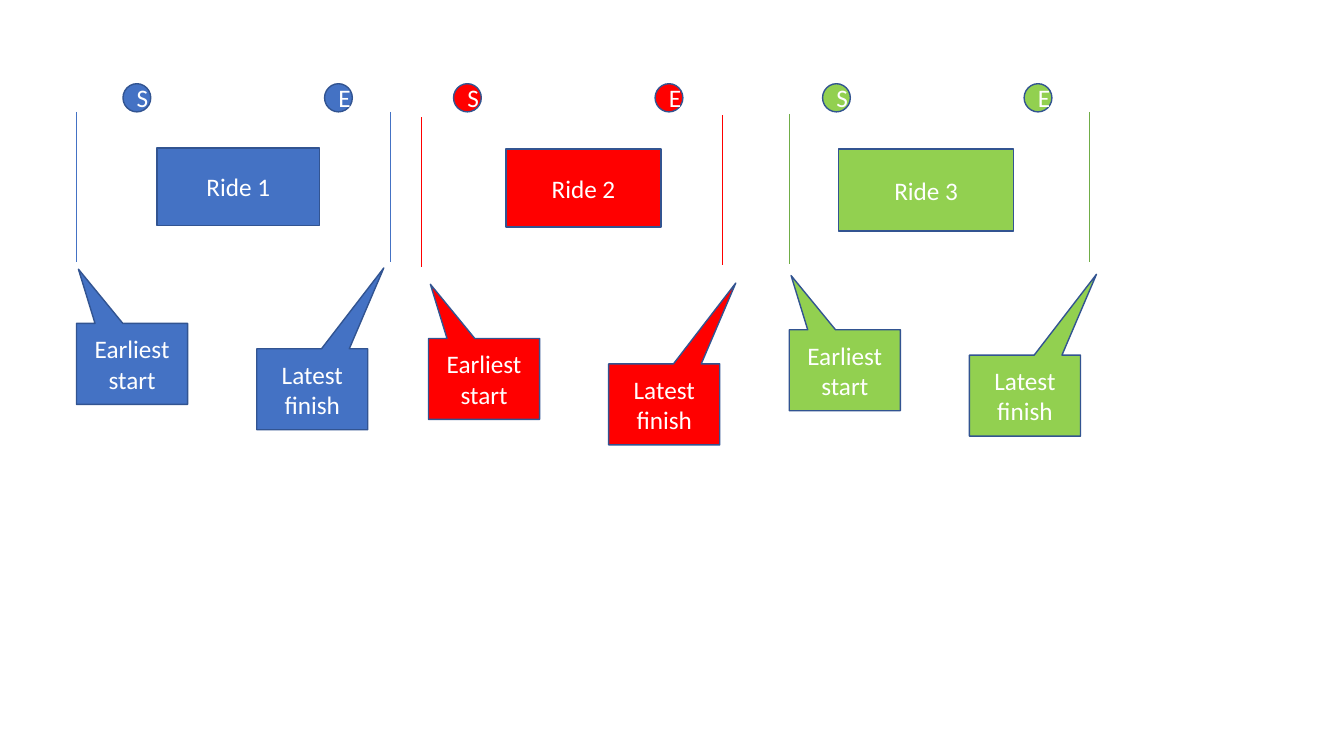
from lxml import etree
from pptx import Presentation
from pptx.dml.color import RGBColor
from pptx.enum.shapes import MSO_CONNECTOR, MSO_SHAPE
from pptx.enum.text import MSO_ANCHOR, PP_ALIGN
from pptx.oxml.ns import qn
from pptx.util import Cm, Pt

RECT, CIRCLE = MSO_SHAPE.RECTANGLE, MSO_SHAPE.OVAL
CALLOUT = MSO_SHAPE.RECTANGULAR_CALLOUT
STRAIGHT = MSO_CONNECTOR.STRAIGHT
MIDDLE, CENTER = MSO_ANCHOR.MIDDLE, PP_ALIGN.CENTER

COLORS = {
    "blue": "4472C4",
    "red": "FF0000",
    "lime": "92D050",
    "green": "70AD47",
    "outline": "325491",
    "text": "FFFFFF",
}

# Content, lengths in cm: box is left, top, width, height;
# limits are the tops of the two time-window lines
RIDES = [
    {"name": "Ride 1", "fill": "blue", "box": (3.96, 3.73, 4.09, 1.96),
     "limits": [(1.93, 2.82), (9.83, 2.82)], "limit_style": ("blue", 0.5),
     "marker_left": 3.1, "callout": (1.93, 8.15)},
    {"name": "Ride 2", "fill": "red", "box": (12.75, 3.76, 3.91, 1.96),
     "limits": [(10.62, 2.95), (18.21, 2.9)], "limit_style": ("red", 0.5),
     "marker_left": 11.43, "callout": (10.8, 8.53)},
    {"name": "Ride 3", "fill": "lime", "box": (21.13, 3.76, 4.42, 2.06),
     "limits": [(19.89, 2.87), (27.46, 2.82)], "limit_style": ("green", 1),
     "marker_left": 20.73, "callout": (19.89, 8.31)},
]
MARKERS = ["S", "E"]
# Text, offset from the ride's callout corner, pointer tip
CALLOUTS = [
    ("Earliest start", (0, 0), (-0.483, -1.17)),
    ("Latest finish", (4.54, 0.64), (0.644, -1.499)),
]

LIMIT_LENGTH = 3.78
MARKER_TOP, MARKER_WIDTH, MARKER_HEIGHT, MARKER_STEP = 2.11, 0.7, 0.71, 5.08
CALLOUT_WIDTH, CALLOUT_HEIGHT = 2.8, 2.04

prs = Presentation()
prs.slide_width, prs.slide_height = Cm(33.87), Cm(19.05)
slide = prs.slides.add_slide(prs.slide_layouts[6])


def rgb(color):
    return RGBColor.from_string(COLORS[color])


def add_labelled(kind, text, color, left, top, width, height):
    shape = slide.shapes.add_shape(kind, Cm(left), Cm(top), Cm(width), Cm(height))
    shape.shadow.inherit = False
    shape.fill.solid()
    shape.fill.fore_color.rgb = rgb(color)
    shape.line.color.rgb = rgb("outline")
    shape.line.width = Pt(1)
    shape.text_frame.vertical_anchor = MIDDLE
    paragraph = shape.text_frame.paragraphs[0]
    paragraph.alignment = CENTER
    run = paragraph.add_run()
    run.text = text
    run.font.name = "Calibri"
    run.font.size = Pt(18)
    run.font.color.rgb = rgb("text")
    return shape


def add_limit(left, top, color, weight):
    limit = slide.shapes.add_connector(
        STRAIGHT, Cm(left), Cm(top), Cm(left), Cm(top + LIMIT_LENGTH))
    limit.line.color.rgb = rgb(color)
    limit.line.width = Pt(weight)
    etree.SubElement(limit._element.spPr, qn("a:effectLst"))


for ride in RIDES:
    fill = ride["fill"]

    # Ride box
    add_labelled(RECT, ride["name"], fill, *ride["box"])

    # Time-window lines
    for left, top in ride["limits"]:
        add_limit(left, top, *ride["limit_style"])

    # Earliest start and latest finish
    callout_left, callout_top = ride["callout"]
    for text, (dx, dy), tip in CALLOUTS:
        callout = add_labelled(CALLOUT, text, fill, callout_left + dx,
                               callout_top + dy, CALLOUT_WIDTH, CALLOUT_HEIGHT)
        callout.adjustments[0], callout.adjustments[1] = tip

    # Start and end markers
    for i, letter in enumerate(MARKERS):
        add_labelled(CIRCLE, letter, fill, ride["marker_left"] + i * MARKER_STEP,
                     MARKER_TOP, MARKER_WIDTH, MARKER_HEIGHT)

prs.save("out.pptx")
